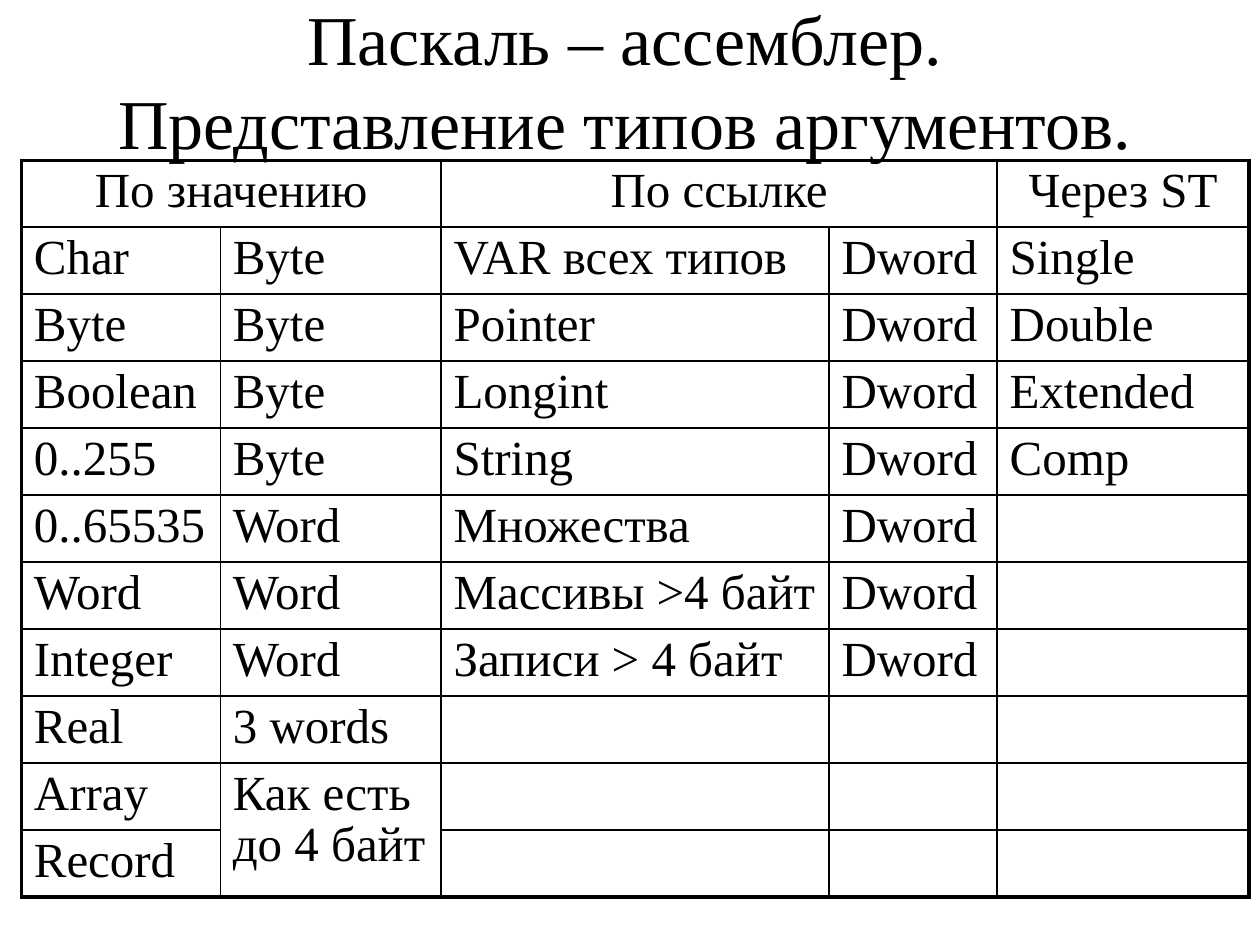
from dataclasses import dataclass

from lxml import etree
from pptx import Presentation
from pptx.dml.color import RGBColor
from pptx.enum.text import MSO_ANCHOR, PP_ALIGN
from pptx.oxml.ns import qn
from pptx.util import Cm, Pt

CENTER = PP_ALIGN.CENTER
LEFT = PP_ALIGN.LEFT
MIDDLE = MSO_ANCHOR.MIDDLE
FONT = "Times New Roman"
COLORS = {"text": "000000", "border": "000000"}
OUTER, INNER = Pt(2.25), Pt(1)

TITLE = ["Паскаль – ассемблер.", "Представление типов аргументов."]
COL_WIDTHS = [4.01, 4.45, 7.82, 3.39, 5.08]
ROW_HEIGHT = 1.35
ROWS = [
    ["По значению", "", "По ссылке", "", "Через ST"],
    ["Char", "Byte", "VAR всех типов", "Dword", "Single"],
    ["Byte", "Byte", "Pointer", "Dword", "Double"],
    ["Boolean", "Byte", "Longint", "Dword", "Extended"],
    ["0..255", "Byte", "String", "Dword", "Comp"],
    ["0..65535", "Word", "Множества", "Dword", ""],
    ["Word", "Word", "Массивы >4 байт", "Dword", ""],
    ["Integer", "Word", "Записи > 4 байт", "Dword", ""],
    ["Real", "3 words", "", "", ""],
    ["Array", "Как есть до 4 байт", "", "", ""],
    ["Record", "", "", "", ""],
]


@dataclass
class Merge:
    row: int
    col: int
    last_row: int
    last_col: int


MERGES = [Merge(0, 0, 0, 1), Merge(0, 2, 0, 3), Merge(9, 1, 10, 1)]


def add_run(p, text: str, size: float) -> None:
    r = p.add_run()
    r.text = text
    r.font.size = Pt(size)
    r.font.name = FONT
    r.font.color.rgb = RGBColor.from_string(COLORS["text"])


def add_title(s) -> None:
    sp = s.shapes.add_textbox(Cm(0.43), Cm(0.43), Cm(24.33), Cm(2.34))
    tf = sp.text_frame
    tf.word_wrap = True
    tf.vertical_anchor = MIDDLE
    p = tf.paragraphs[0]
    p.alignment = CENTER
    for i, line in enumerate(TITLE):
        if i:
            p.add_line_break()
        add_run(p, line, 40)


def add_border(cell, side: str, width: int) -> None:
    ln = etree.SubElement(cell._tc.get_or_add_tcPr(), qn(f"a:ln{side}"), w=str(width))
    fill = etree.SubElement(ln, qn("a:solidFill"))
    etree.SubElement(fill, qn("a:srgbClr"), val=COLORS["border"])


def style_cell(cell, row: int, col: int) -> None:
    edges = {
        "L": col == 0,
        "R": col + cell.span_width == len(COL_WIDTHS),
        "T": row == 0,
        "B": row + cell.span_height == len(ROWS),
    }
    for side, is_outer in edges.items():
        add_border(cell, side, OUTER if is_outer else INNER)
    cell.fill.background()
    cell.margin_bottom = Cm(0.05)


def add_types_table(s) -> None:
    frame = s.shapes.add_table(
        len(ROWS), len(COL_WIDTHS), Cm(0.43), Cm(3.23),
        Cm(sum(COL_WIDTHS)), Cm(ROW_HEIGHT * len(ROWS)),
    )
    table = frame.table
    table.first_row = False
    table.horz_banding = False
    for column, width in zip(table.columns, COL_WIDTHS):
        column.width = Cm(width)
    for m in MERGES:
        table.cell(m.row, m.col).merge(table.cell(m.last_row, m.last_col))
    for i, values in enumerate(ROWS):
        table.rows[i].height = Cm(ROW_HEIGHT)
        for j, text in enumerate(values):
            cell = table.cell(i, j)
            style_cell(cell, i, j)
            if text:
                p = cell.text_frame.paragraphs[0]
                p.alignment = LEFT if i else CENTER
                p.line_spacing = 0.95
                add_run(p, text, 28)


def main() -> None:
    prs = Presentation()
    prs.slide_width, prs.slide_height = Cm(25.4), Cm(19.05)
    s = prs.slides.add_slide(prs.slide_layouts[6])
    add_title(s)
    add_types_table(s)
    prs.save("out.pptx")


if __name__ == "__main__":
    main()
